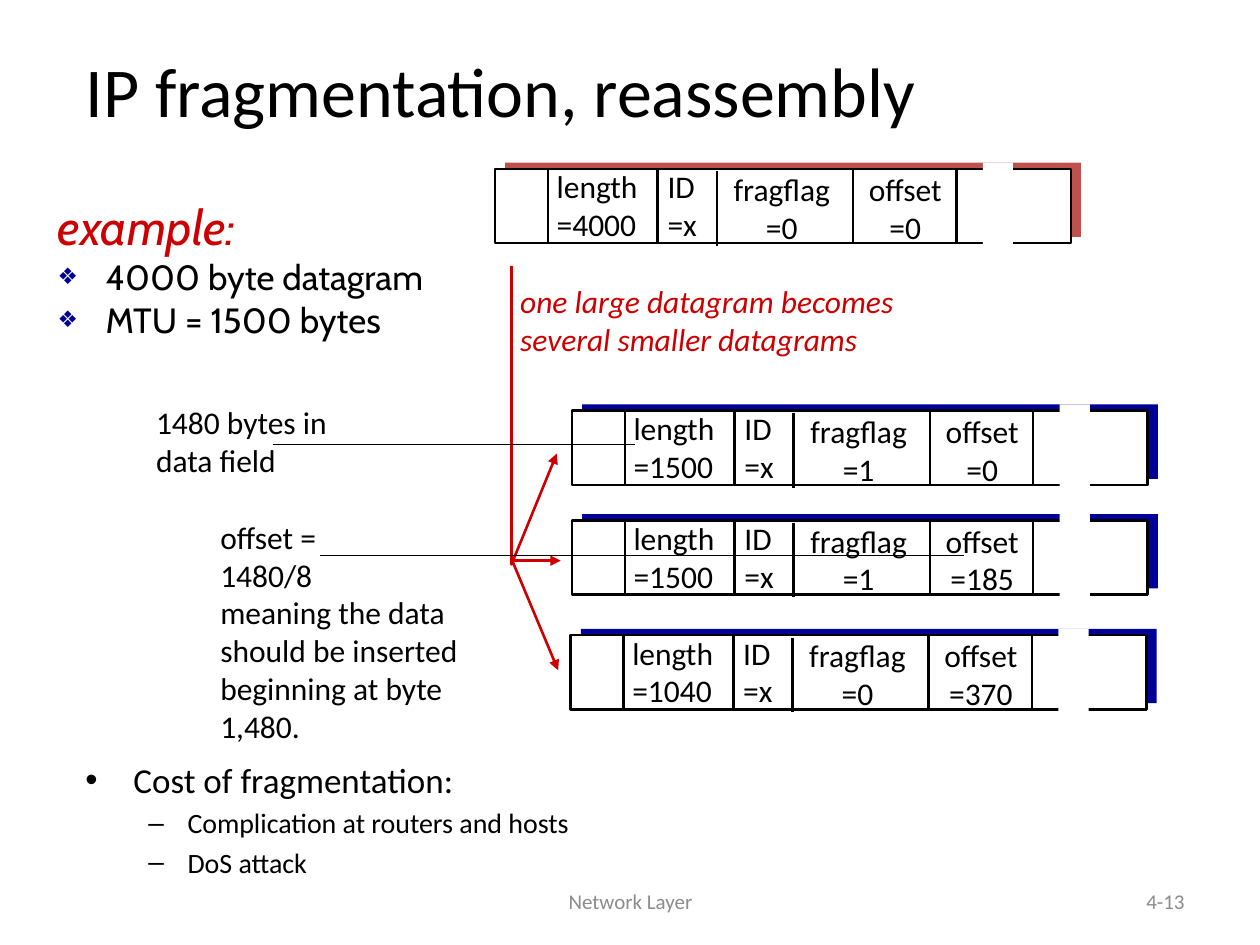
from dataclasses import dataclass

import pptx
import pptx.dml.color
import pptx.enum.shapes
import pptx.enum.text
import pptx.oxml
import pptx.oxml.ns
import pptx.util
from lxml import etree

Inches = pptx.util.Inches
Pt = pptx.util.Pt
RGBColor = pptx.dml.color.RGBColor
Align = pptx.enum.text.PP_ALIGN
Anchor = pptx.enum.text.MSO_ANCHOR
qn = pptx.oxml.ns.qn

BLACK = RGBColor(0x00, 0x00, 0x00)
WHITE = RGBColor(0xFF, 0xFF, 0xFF)
GRAY = RGBColor(0x8C, 0x8C, 0x8C)
RED = RGBColor(0xCC, 0x00, 0x00)
BRICK = RGBColor(0xC0, 0x50, 0x4D)
NAVY = RGBColor(0x00, 0x00, 0x99)

FRAME_WIDTH, FRAME_HEIGHT = 4.57, 0.59


@dataclass
class Datagram:
    left: float
    top: float
    length: int
    fragflag: int
    offset: int
    shade: RGBColor = NAVY


@dataclass
class Bullet:
    mark: str
    indent: float
    hanging: float
    color: RGBColor = BLACK
    percent: int = 100


DATAGRAMS = [
    Datagram(3.93, 1.34, 4000, 0, 0, BRICK),
    Datagram(4.54, 3.26, 1500, 1, 0),
    Datagram(4.54, 4.13, 1500, 1, 185),
    Datagram(4.53, 5.04, 1040, 0, 370),
]
# Offsets from the top left corner of a datagram's frame
DIVIDERS = [(0.42, 0), (1.29, 0), (1.76, 0.02), (2.84, 0), (3.66, 0)]

DIAMOND = Bullet("❖", 0.38, 0.38, NAVY, 65)
DOT = Bullet("•", 0.38, 0.38)
DASH = Bullet("–", 0.81, 0.31)


def format_paragraph(para, text: str, *, size: float = 18, color: RGBColor = BLACK,
                     font: str = "Calibri", italic: bool = False, align=Align.LEFT,
                     before: float = 0, spacing: float = 1.0) -> None:
    para.text = text
    para.alignment = align
    para.space_before = Pt(before)
    para.line_spacing = spacing
    for span in para.runs:
        span.font.name = font
        span.font.size = Pt(size)
        span.font.italic = italic
        span.font.color.rgb = color


def add_paragraph(box, text: str, **style) -> object:
    frame = box.text_frame
    para = frame.add_paragraph() if frame.text else frame.paragraphs[0]
    format_paragraph(para, text, **style)
    return para


def add_box(page, left: float, top: float, width: float, height: float,
            lines: tuple = (), *, wrap: bool = False, anchor=Anchor.TOP, **style):
    box = page.shapes.add_textbox(Inches(left), Inches(top), Inches(width), Inches(height))
    box.text_frame.word_wrap = wrap
    box.text_frame.vertical_anchor = anchor
    if not wrap:
        box.text_frame.auto_size = pptx.enum.text.MSO_AUTO_SIZE.SHAPE_TO_FIT_TEXT
    for line in lines:
        add_paragraph(box, line, **style)
    return box


def set_bullet(para, bullet: Bullet) -> None:
    props = para._p.get_or_add_pPr()
    props.set("marL", str(Inches(bullet.indent)))
    props.set("indent", str(-Inches(bullet.hanging)))
    color = etree.SubElement(props, qn("a:buClr"))
    etree.SubElement(color, qn("a:srgbClr"), val=str(bullet.color))
    etree.SubElement(props, qn("a:buSzPct"), val=str(bullet.percent * 1000))
    etree.SubElement(props, qn("a:buFont"), typeface="Arial")
    etree.SubElement(props, qn("a:buChar"), char=bullet.mark)


def add_rectangle(page, left: float, top: float, width: float, height: float,
                  fill: RGBColor, outlined: bool = False) -> None:
    shape = page.shapes.add_shape(pptx.enum.shapes.MSO_SHAPE.RECTANGLE, Inches(left),
                                  Inches(top), Inches(width), Inches(height))
    shape.shadow.inherit = False
    shape.fill.solid()
    shape.fill.fore_color.rgb = fill
    if outlined:
        shape.line.color.rgb = BLACK
        shape.line.width = Pt(1.5)
    else:
        shape.line.fill.background()


def style_line(shape, color: RGBColor, width: float, arrow: bool) -> None:
    shape.line.color.rgb = color
    shape.line.width = Pt(width)
    if arrow:
        etree.SubElement(shape.line._get_or_add_ln(), qn("a:tailEnd"), type="triangle")


def add_line(page, start: tuple, end: tuple, color: RGBColor = BLACK,
             width: float = 1.5, arrow: bool = False) -> None:
    line = page.shapes.add_connector(pptx.enum.shapes.MSO_CONNECTOR.STRAIGHT,
                                     *map(Inches, start + end))
    style_line(line, color, width, arrow)
    etree.SubElement(line._element.spPr, qn("a:effectLst"))


def add_datagram(page, data: Datagram) -> None:
    left, top = data.left, data.top
    add_rectangle(page, left + 0.08, top - 0.05, FRAME_WIDTH, FRAME_HEIGHT, data.shade)
    add_rectangle(page, left, top, FRAME_WIDTH, FRAME_HEIGHT, WHITE, outlined=True)
    fields = [
        (1.27, -0.06, 0.47, ("ID", "=x"), Align.LEFT),
        (2.85, -0.04, 0.81, ("offset", f"={data.offset}"), Align.CENTER),
        (1.76, -0.04, 1.03, ("fragflag", f"={data.fragflag}"), Align.CENTER),
        (0.39, -0.06, 0.9, ("length", f"={data.length}"), Align.LEFT),
    ]
    for x, y, width, lines, align in fields:
        add_box(page, left + x, top + y, width, 0.7, lines, align=align)
    for x, y in DIVIDERS:
        add_line(page, (left + x, top + y), (left + x, top + y + FRAME_HEIGHT))
    add_rectangle(page, left + 3.87, top - 0.05, 0.24, 0.66, WHITE)


def add_split_arrows(page) -> None:
    builder = page.shapes.build_freeform(Inches(4.06), Inches(2.11))
    builder.add_line_segments([(Inches(4.06), Inches(4.48)), (Inches(4.42), Inches(3.6))],
                              close=False)
    bent = builder.convert_to_shape()
    bent.shadow.inherit = False
    bent.fill.background()
    style_line(bent, RED, 1.5, True)
    add_line(page, (4.06, 4.45), (4.45, 4.45), RED, arrow=True)
    add_line(page, (4.07, 4.46), (4.43, 5.32), RED, arrow=True)


def add_title(page, text: str) -> None:
    title = page.shapes.title
    title.left, title.top = Inches(0.58), Inches(0.2)
    title.width, title.height = Inches(8.5), Inches(1.02)
    title.text_frame.vertical_anchor = Anchor.MIDDLE
    format_paragraph(title.text_frame.paragraphs[0], text, size=40)


def main() -> None:
    deck = pptx.Presentation()
    deck.slide_width, deck.slide_height = Inches(10), Inches(7.5)
    page = deck.slides.add_slide(deck.slide_layouts[5])
    page.background.fill.solid()
    page.background.fill.fore_color.rgb = WHITE

    add_title(page, "IP fragmentation, reassembly")
    footer = dict(wrap=True, anchor=Anchor.MIDDLE, size=12, color=GRAY)
    add_box(page, 3.42, 6.95, 3.17, 0.4, ("Network Layer",), align=Align.CENTER, **footer)
    add_box(page, 7.17, 6.95, 2.33, 0.4, ("4-13",), align=Align.RIGHT, **footer)

    for data in DATAGRAMS:
        add_datagram(page, data)
    add_split_arrows(page)
    add_box(page, 4.03, 2.19, 3.45, 0.7,
            ("one large datagram becomes", "several smaller datagrams"),
            color=RED, italic=True)

    example = add_box(page, 0.36, 1.58, 3.1, 1.84, wrap=True)
    add_paragraph(example, "example:", size=28, color=RED, font="Cabin", italic=True,
                  before=5.6, spacing=0.85)
    for text in ("4000 byte datagram", "MTU = 1500 bytes"):
        para = add_paragraph(example, text, size=20, font="Cabin", before=4, spacing=0.85)
        set_bullet(para, DIAMOND)

    add_box(page, 1.14, 3.15, 1.76, 0.7, ("1480 bytes in\vdata field",))
    add_box(page, 1.65, 4.06, 2.33, 1.92,
            ("offset =", "1480/8", "meaning the data",
             "should be inserted\vbeginning at byte", "1,480."))
    add_line(page, (2.17, 3.53), (5.04, 3.53), width=0.75)
    add_line(page, (7.65, 4.41), (2.54, 4.41), width=0.75)

    costs = add_box(page, 0.58, 5.97, 8.82, 0.86, wrap=True)
    set_bullet(add_paragraph(costs, "Cost of fragmentation:", size=20, before=4), DOT)
    for text in ("Complication at routers and hosts", "DoS attack"):
        para = add_paragraph(costs, text, size=16, before=3.2)
        para.level = 1
        set_bullet(para, DASH)

    deck.save("out.pptx")


if __name__ == "__main__":
    main()
